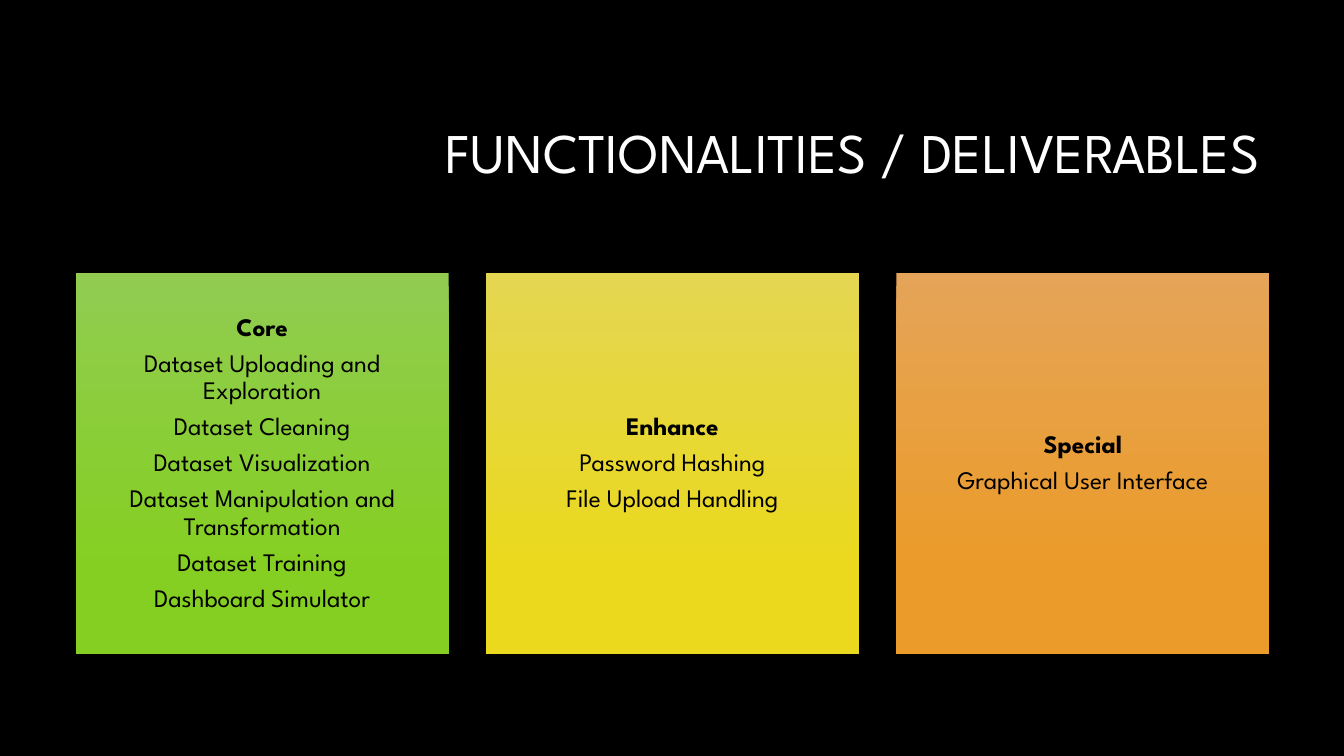
from pptx import Presentation, util as u
from pptx.dml.color import RGBColor
from pptx.enum import shapes, text

THEME = {
    "font": "League Spartan",
    "title_size": u.Pt(40),
    "body_size": u.Pt(18),
    "body_gap": u.Pt(6.3),
    "paper": RGBColor.from_string("000000"),
    "title": RGBColor.from_string("FFFFFF"),
    "ink": RGBColor.from_string("000000"),
}
CARDS = [
    ("Core", ["Dataset Uploading and Exploration", "Dataset Cleaning",
              "Dataset Visualization", "Dataset Manipulation and Transformation",
              "Dataset Training", "Dashboard Simulator"], ("91CC51", "85CF22")),
    ("Enhance", ["Password Hashing", "File Upload Handling"], ("E4D651", "EAD91D")),
    ("Special", ["Graphical User Interface"], ("E5A457", "EB9B29")),
]
LEFT, TOP, WIDTH, HEIGHT, GAP = 0.75, 2.71, 3.7, 3.78, 0.37
RIGHT = LEFT + 3 * WIDTH + 2 * GAP
TITLE_WIDTH = 9.42


def style(para, size, color, align, bold=False):
    para.alignment = align
    para.line_spacing = 0.9
    para.font.name = THEME["font"]
    para.font.size = size
    para.font.color.rgb = color
    para.font.bold = bold


deck = Presentation()
deck.slide_width, deck.slide_height = u.Inches(13.33), u.Inches(7.5)
page = deck.slides.add_slide(deck.slide_layouts[6])
page.background.fill.solid()
page.background.fill.fore_color.rgb = THEME["paper"]

title = page.shapes.add_textbox(u.Inches(RIGHT - TITLE_WIDTH), u.Inches(0.84),
                                u.Inches(TITLE_WIDTH), u.Inches(1.41)).text_frame
title.word_wrap = True
title.vertical_anchor = text.MSO_ANCHOR.MIDDLE
title.text = "FUNCTIONALITIES / DELIVERABLES"
style(title.paragraphs[0], THEME["title_size"], THEME["title"], text.PP_ALIGN.RIGHT)

for column, (heading, items, colors) in enumerate(CARDS):
    card = page.shapes.add_shape(shapes.MSO_SHAPE.RECTANGLE,
                                 u.Inches(LEFT + column * (WIDTH + GAP)), u.Inches(TOP),
                                 u.Inches(WIDTH), u.Inches(HEIGHT))
    card.shadow.inherit = False
    card.line.fill.background()
    card.fill.gradient()
    card.fill.gradient_angle = 270
    for stop, position, color in zip(card.fill.gradient_stops, (0, 0.78), colors):
        stop.position = position
        stop.color.rgb = RGBColor.from_string(color)

    frame = card.text_frame
    frame.word_wrap = True
    frame.vertical_anchor = text.MSO_ANCHOR.MIDDLE
    frame.margin_left = frame.margin_right = u.Inches(0.1)
    frame.margin_top = frame.margin_bottom = u.Inches(0.07)
    frame.text = "\n".join([heading, *items])
    for row, para in enumerate(frame.paragraphs):
        style(para, THEME["body_size"], THEME["ink"], text.PP_ALIGN.CENTER, bold=row == 0)
        para.space_after = THEME["body_gap"]

deck.save("out.pptx")
